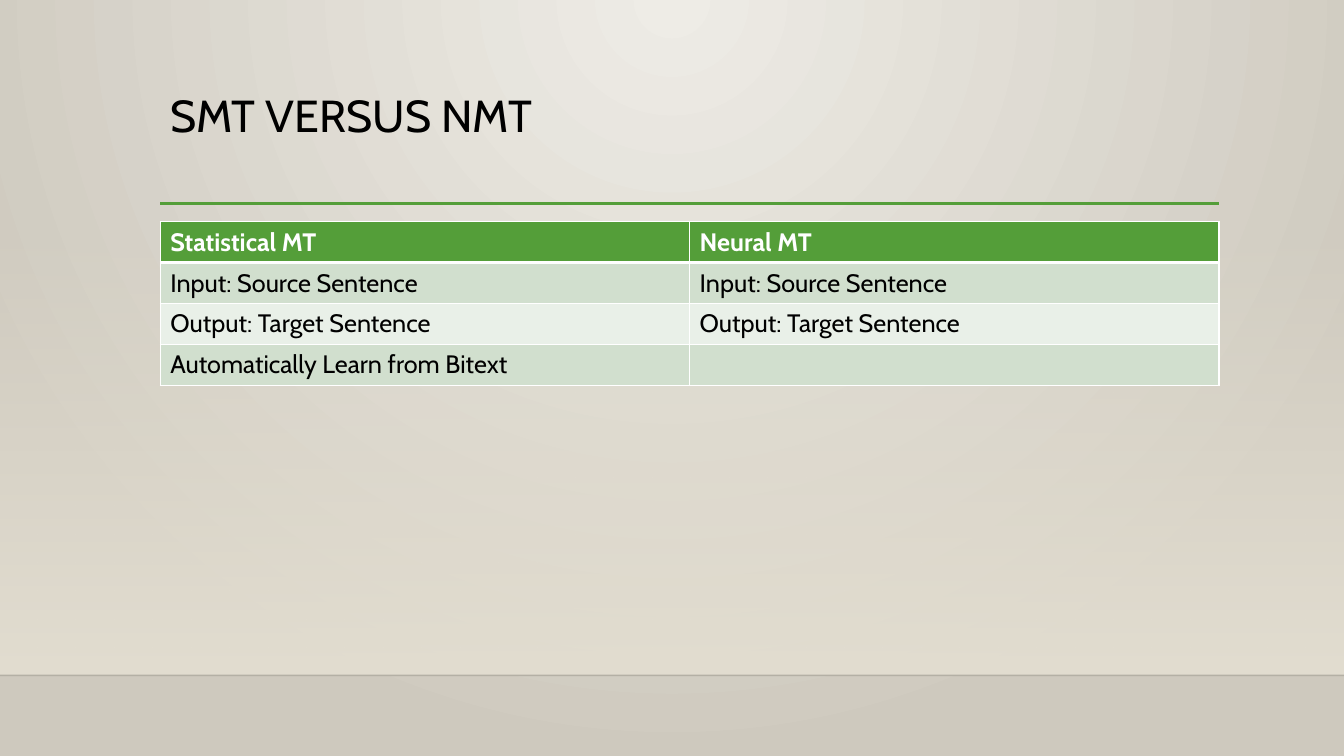
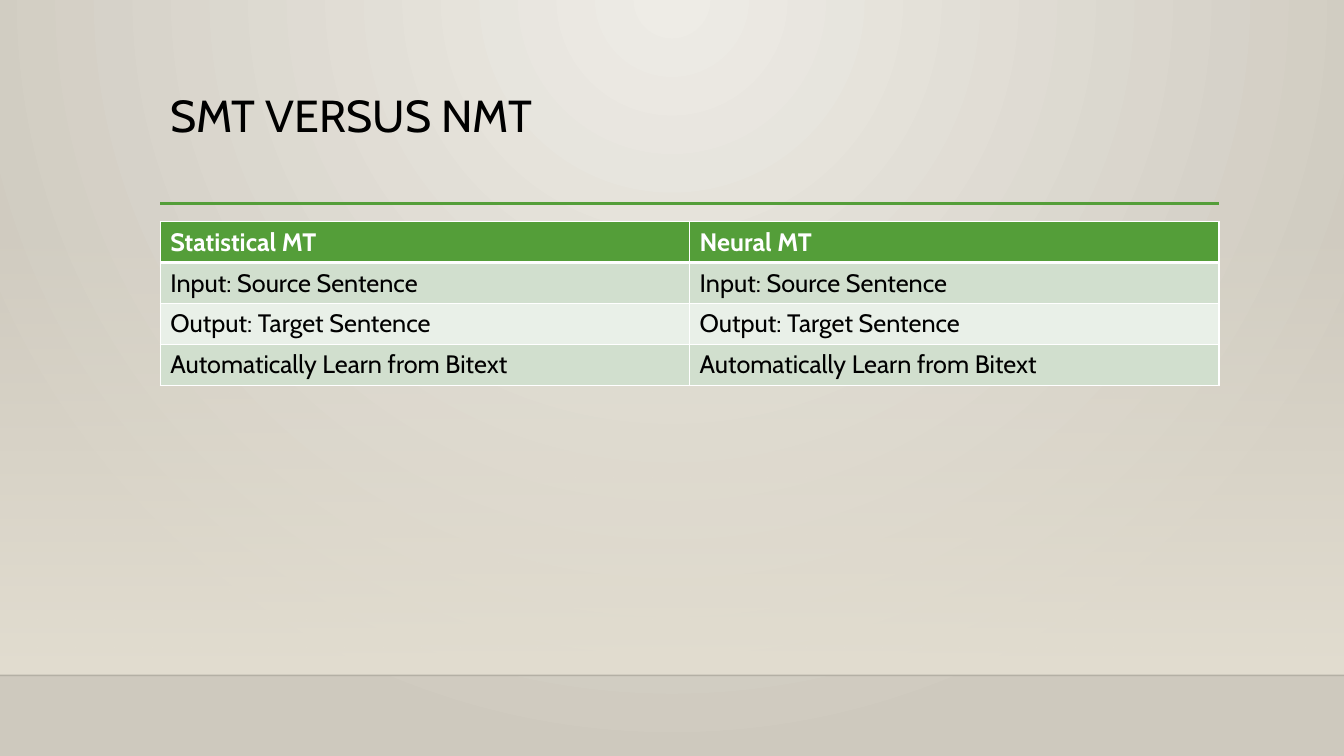
from dataclasses import dataclass

from pptx import Presentation
from pptx import util as u
from pptx.dml.color import RGBColor
from pptx.enum import shapes, text
from pptx.oxml import parse_xml
from pptx.oxml.ns import nsdecls, qn


@dataclass(frozen=True)
class Theme:
    font: str = "Cabin"
    ink: str = "000000"
    paper: str = "FFFFFF"
    green: str = "549E39"
    bands: tuple = ("D1DFCE", "E9F0E8")
    glow: str = "EEECE6"
    edge: str = "CEC9BE"
    wall: str = "E3DED1"
    head: int = 32
    body: int = 18


T = Theme()
WIDE, HIGH = 13.33, 7.5
LEFT, SPAN = 1.59, 10.5
FLOOR = 6.7
HEAD = (LEFT, 0.88, SPAN, 1.15)
GRID = (LEFT, 2.2, SPAN, 1.62)

NAMES = ["Statistical MT", "Neural MT"]
INPUT = "Input: Source Sentence"
OUTPUT = "Output: Target Sentence"
LEARN = "Automatically Learn from Bitext"
SHARED = [NAMES, [INPUT] * 2, [OUTPUT] * 2]


def rgb(code):
    return RGBColor.from_string(code)


def inches(box):
    return [u.Inches(n) for n in box]


def grad(fill, root, stops, shade):
    """Make fill, found under root, a gradient of (place, colour, opacity) stops."""
    fill.gradient()
    old = next(root.iter(qn("a:gradFill")))
    marks = "".join(
        f'<a:gs pos="{at * 1000}"><a:srgbClr val="{tone}">'
        f'<a:alpha val="{alpha * 1000}"/></a:srgbClr></a:gs>'
        for at, tone, alpha in stops)
    new = parse_xml(f'<a:gradFill {nsdecls("a")} rotWithShape="1">'
                    f'<a:gsLst>{marks}</a:gsLst>{shade}</a:gradFill>')
    old.getparent().replace(old, new)


def rule(slide, left, top, span, tone, size, alpha=100):
    ends = inches((left, top, left + span, top))
    line = slide.shapes.add_connector(shapes.MSO_CONNECTOR.STRAIGHT, *ends)
    line.line.color.rgb = rgb(tone)
    line.line.width = u.Pt(size)
    if alpha < 100:
        tint = next(line.element.iter(qn("a:srgbClr")))
        tint.append(parse_xml(f'<a:alpha {nsdecls("a")} val="{alpha * 1000}"/>'))
    line.element.spPr.append(parse_xml(f'<a:effectLst {nsdecls("a")}/>'))
    return line


def dress(layout, slide):
    """Draw the shared backdrop with slide's tools and move it to the layout."""
    grad(layout.background.fill, layout.element,
         [(0, T.glow, 100), (100, T.edge, 100)],
         '<a:path path="circle"><a:fillToRect l="43000" t="0" '
         'r="43000" b="100000"/></a:path>')
    wall = slide.shapes.add_shape(shapes.MSO_SHAPE.RECTANGLE,
                                  *inches((0, 2.21, WIDE, FLOOR - 2.21)))
    wall.shadow.inherit = False
    wall.line.fill.background()
    grad(wall.fill, wall.element, [(0, T.wall, 0), (100, T.wall, 100)],
         '<a:lin ang="5400000" scaled="0"/>')
    parts = [wall,
             rule(slide, 0, FLOOR, WIDE, T.ink, 1, alpha=20),
             rule(slide, LEFT, 2.02, SPAN, T.green, 2.5)]
    for spot, part in enumerate(parts, start=2):
        layout.shapes.element.insert(spot, part.element)


def title(slide, words, box):
    shape = slide.shapes.title
    shape.left, shape.top, shape.width, shape.height = inches(box)
    frame = shape.text_frame
    frame.text = words
    frame.vertical_anchor = text.MSO_ANCHOR.TOP
    frame.auto_size = text.MSO_AUTO_SIZE.NONE
    para = frame.paragraphs[0]
    para.alignment = text.PP_ALIGN.LEFT
    para.line_spacing = 0.9
    style(para, T.head, T.ink)


def style(para, size, tone, bold=False):
    font = para.font
    font.name, font.size, font.bold = T.font, u.Pt(size), bold
    font.color.rgb = rgb(tone)


def border(cell, top, bottom):
    props = cell._tc.get_or_add_tcPr()
    sides = {"L": 1, "R": 1, "T": top, "B": bottom}
    for spot, (side, size) in enumerate(sides.items()):
        props.insert(spot, parse_xml(
            f'<a:ln{side} {nsdecls("a")} w="{u.Pt(size)}"><a:solidFill>'
            f'<a:srgbClr val="{T.paper}"/></a:solidFill></a:ln{side}>'))


def table(slide, rows, box):
    grid = slide.shapes.add_table(len(rows), len(rows[0]), *inches(box)).table
    for r, row in enumerate(rows):
        first = r == 0
        for c, words in enumerate(row):
            cell = grid.cell(r, c)
            cell.text = words
            cell.fill.solid()
            cell.fill.fore_color.rgb = rgb(
                T.green if first else T.bands[(r - 1) % 2])
            border(cell, 3 if r == 1 else 1, 3 if first else 1)
            style(cell.text_frame.paragraphs[0], T.body,
                  T.paper if first else T.ink, first)


def main():
    deck = Presentation()
    deck.slide_width, deck.slide_height = inches((WIDE, HIGH))
    layout = deck.slide_layouts.get_by_name("Title Only")
    for last in ([LEARN, ""], [LEARN, LEARN]):
        slide = deck.slides.add_slide(layout)
        title(slide, "SMT VERSUS NMT", HEAD)
        table(slide, SHARED + [last], GRID)
    dress(layout, slide)
    deck.save("out.pptx")


if __name__ == "__main__":
    main()
